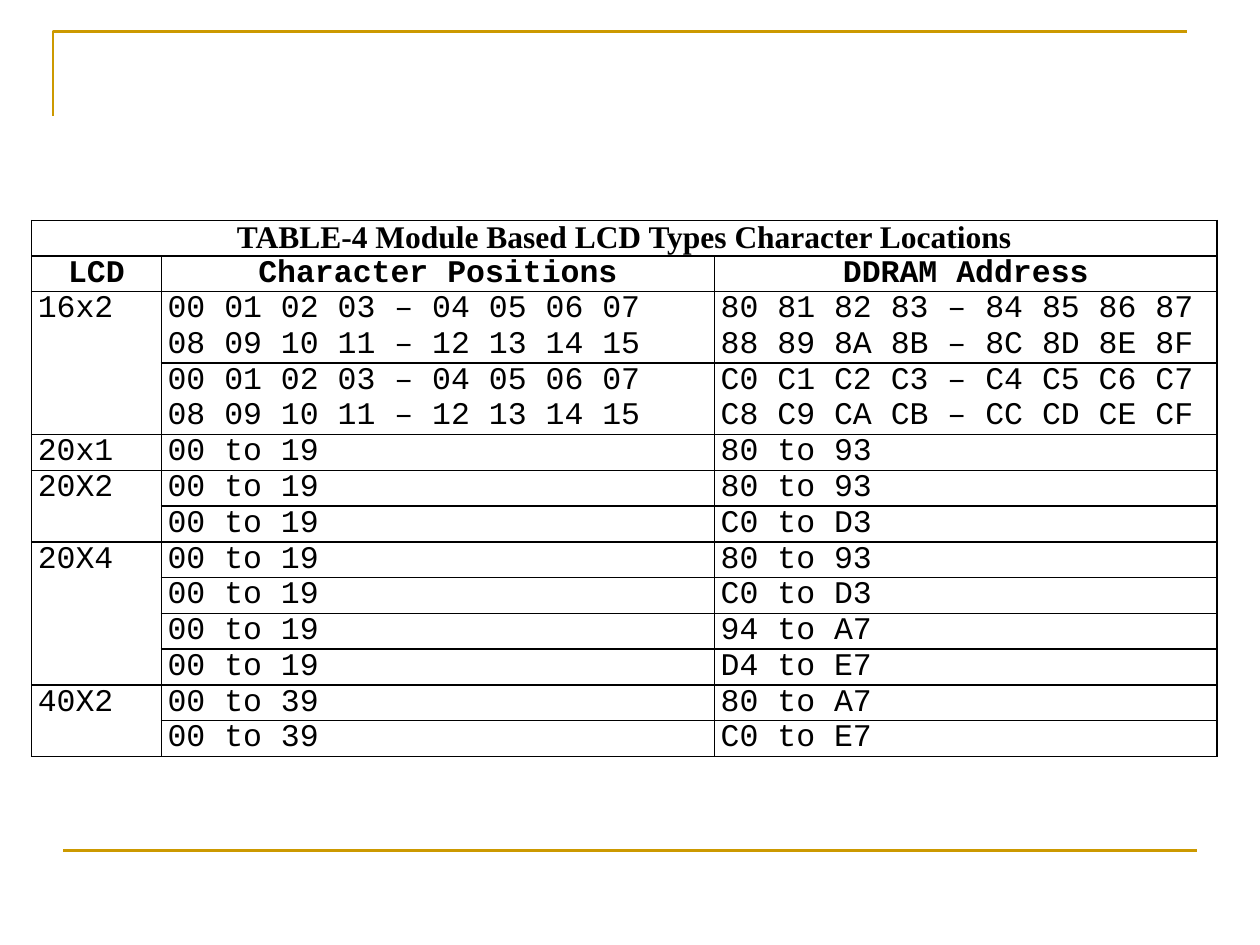
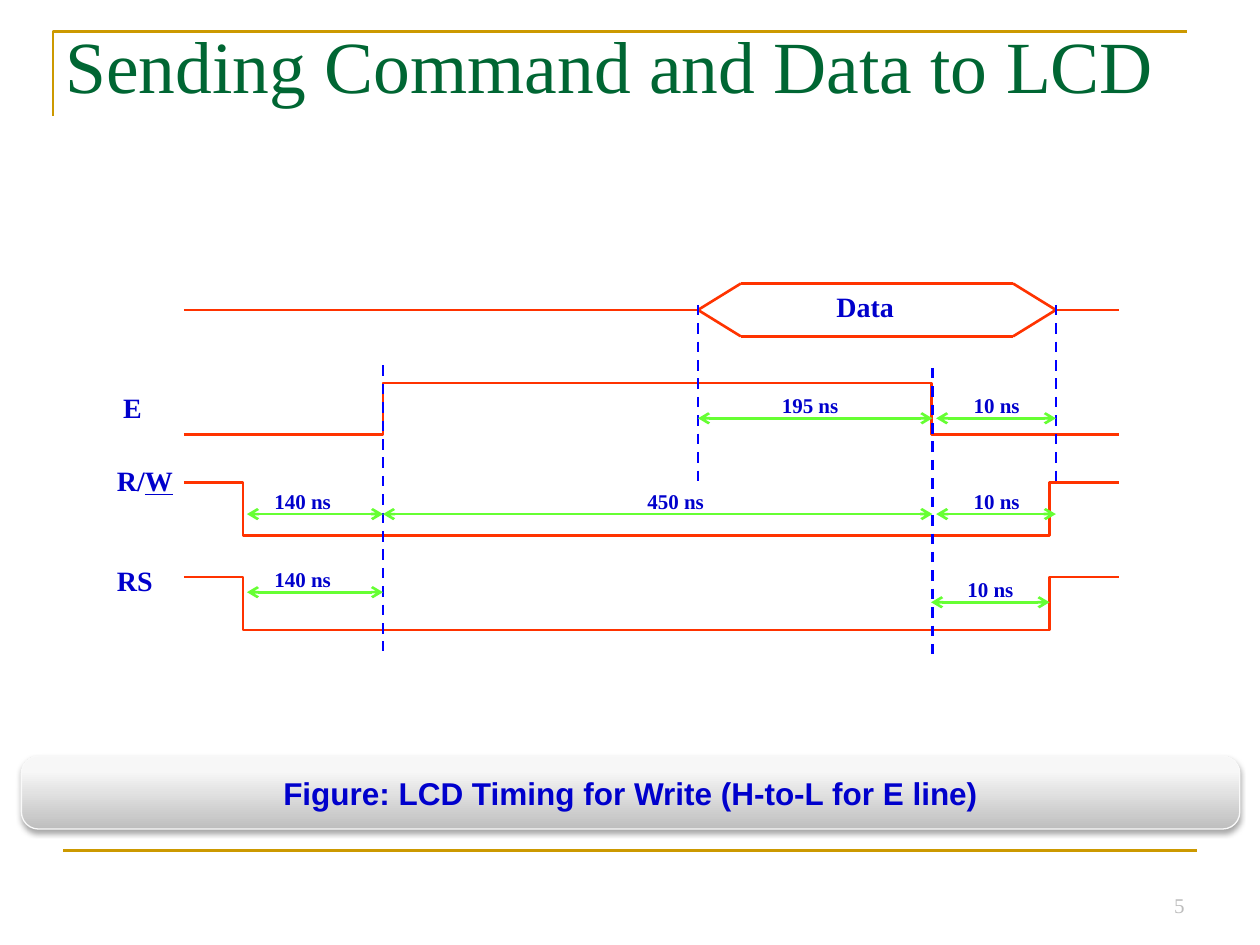
from itertools import pairwise

from lxml import etree
from pptx import Presentation
from pptx.dml.color import RGBColor
from pptx.enum.dml import MSO_LINE
from pptx.enum.shapes import MSO_CONNECTOR, MSO_SHAPE
from pptx.enum.text import MSO_ANCHOR, PP_ALIGN
from pptx.oxml import parse_xml
from pptx.oxml.ns import nsdecls, qn
from pptx.util import Inches, Pt

COLORS = {
    "frame": "CC9900", "title": "006633", "number": "BDBDBD", "paper": "FFFFFF",
    "ink": "000000", "label": "0000CC", "signal": "FF3300", "guide": "0000FF",
    "span": "66FF33", "band_dark": "BEBEBE", "band_light": "F7F7F7", "band_edge": "F9F9F9",
}
SERIF, MONO, SANS = "Times New Roman", "Courier New", "Arial"
TITLE_ONLY, BLANK = 5, 6


def rgb(name):
    return RGBColor.from_string(COLORS[name])


class Deck:
    """Holds the shared style and the slide being built."""

    def __init__(self):
        self.prs = Presentation()
        self.prs.slide_width, self.prs.slide_height = Inches(10), Inches(7.5)
        self.slide = None

    def new_slide(self, title=None):
        layout = self.prs.slide_layouts[TITLE_ONLY if title else BLANK]
        self.slide = self.prs.slides.add_slide(layout)
        # Corner rule at the top, straight rule at the bottom
        builder = self.slide.shapes.build_freeform(Inches(0.42), Inches(0.92))
        builder.add_line_segments(
            [(Inches(0.42), Inches(0.25)), (Inches(9.42), Inches(0.25))], close=False)
        corner = builder.convert_to_shape()
        corner.shadow.inherit = False
        corner.fill.background()
        corner.line.color.rgb, corner.line.width = rgb("frame"), Pt(1.5)
        self.line((0.5, 6.75), (9.5, 6.75), "frame")
        if title:
            self.title(title)

    def title(self, text):
        heading = self.slide.shapes.title
        heading.left, heading.top = Inches(0.42), Inches(0.08)
        heading.width, heading.height = Inches(9.33), Inches(0.83)
        heading.text_frame.text = text
        heading.text_frame.vertical_anchor = MSO_ANCHOR.BOTTOM
        self.style(heading.text_frame.paragraphs[0], SERIF, 42, "title", bold=False)

    def style(self, paragraph, font, size, color, bold=True, align=PP_ALIGN.LEFT):
        paragraph.alignment = align
        paragraph.font.name, paragraph.font.size = font, Pt(size)
        paragraph.font.bold = bold
        paragraph.font.color.rgb = rgb(color)

    def line(self, start, end, color, bend=None, dashed=False, arrows=False):
        kind = MSO_CONNECTOR.STRAIGHT if bend is None else MSO_CONNECTOR.ELBOW
        connector = self.slide.shapes.add_connector(
            kind, *(Inches(value) for value in (*start, *end)))
        connector.line.color.rgb, connector.line.width = rgb(color), Pt(1.5)
        if dashed:
            connector.line.dash_style = MSO_LINE.DASH
        properties = connector._element.spPr
        if bend is not None:
            share = round((bend - start[0]) / (end[0] - start[0]) * 100000)
            guides = properties.find(qn("a:prstGeom")).get_or_add_avLst()
            etree.SubElement(guides, qn("a:gd"), name="adj1", fmla=f"val {share}")
        if arrows:
            for tip in ("a:headEnd", "a:tailEnd"):
                etree.SubElement(properties.find(qn("a:ln")), qn(tip), type="arrow")
        etree.SubElement(properties, qn("a:effectLst"))

    def label(self, box, text, size=16, color="label", bold=True,
              align=PP_ALIGN.LEFT, anchor=MSO_ANCHOR.TOP, underlined=""):
        frame = self.slide.shapes.add_textbox(*(Inches(v) for v in box)).text_frame
        frame.word_wrap = True
        frame.vertical_anchor = anchor
        paragraph = frame.paragraphs[0]
        paragraph.add_run().text = text
        if underlined:
            tail = paragraph.add_run()
            tail.text, tail.font.underline = underlined, True
        self.style(paragraph, SERIF, size, color, bold, align)

    def caption(self, box, text):
        band = self.slide.shapes.add_shape(
            MSO_SHAPE.ROUNDED_RECTANGLE, *(Inches(v) for v in box))
        band.adjustments[0] = 0.235
        band.fill.gradient()
        band.fill.gradient_angle = 90
        stops = (("band_dark", 0), ("band_light", 0.8))
        for stop, (color, position) in zip(band.fill.gradient_stops, stops):
            stop.color.rgb, stop.position = rgb(color), position
        band.line.color.rgb, band.line.width = rgb("band_edge"), Pt(0.75)
        band._element.spPr.append(parse_xml(
            f'<a:effectLst {nsdecls("a")}><a:outerShdw blurRad="{Pt(3.1)}" '
            f'dist="{Pt(1.8)}" dir="5400000" rotWithShape="0">'
            f'<a:srgbClr val="{COLORS["ink"]}"><a:alpha val="35000"/></a:srgbClr>'
            '</a:outerShdw></a:effectLst>'))
        band.text_frame.text = text
        band.text_frame.vertical_anchor = MSO_ANCHOR.MIDDLE
        self.style(band.text_frame.paragraphs[0], SANS, 18, "label", align=PP_ALIGN.CENTER)

    def cell(self, cell, text, font=MONO, header=False):
        cell.margin_left = cell.margin_right = Inches(0.05)
        cell.margin_top = cell.margin_bottom = 0
        cell.fill.solid()
        cell.fill.fore_color.rgb = rgb("paper")
        for index, side in enumerate("LRTB"):
            cell._tc.get_or_add_tcPr().insert(index, parse_xml(
                f'<a:ln{side} {nsdecls("a")} w="{Pt(1)}"><a:solidFill>'
                f'<a:srgbClr val="{COLORS["ink"]}"/></a:solidFill></a:ln{side}>'))
        cell.text = text
        align = PP_ALIGN.CENTER if header else PP_ALIGN.LEFT
        for paragraph in cell.text_frame.paragraphs:
            self.style(paragraph, font, 18, "ink", header, align)

    def table(self, left, top, widths, line_height, heading, columns, groups):
        """Each group is (name, rows); its name spans all of its rows."""
        rows = [(heading, "", ""), columns]
        spans = []
        for name, entries in groups:
            spans.append((len(rows), len(rows) + len(entries) - 1))
            rows += [(name if i == 0 else "", *entry) for i, entry in enumerate(entries)]
        heights = [line_height * (1 + row[1].count("\n")) for row in rows]
        grid = self.slide.shapes.add_table(
            len(rows), len(widths), Inches(left), Inches(top),
            Inches(sum(widths)), Inches(sum(heights))).table
        grid.first_row = grid.horz_banding = False
        for column, width in zip(grid.columns, widths):
            column.width = Inches(width)
        for r, row in enumerate(rows):
            grid.rows[r].height = Inches(heights[r])
            for c, text in enumerate(row):
                self.cell(grid.cell(r, c), text, SERIF if r == 0 else MONO, header=r < 2)
        grid.cell(0, 0).merge(grid.cell(0, len(widths) - 1))
        for first, last in spans:
            if last > first:
                grid.cell(first, 0).merge(grid.cell(last, 0))


def character_locations(deck):
    deck.new_slide()
    positions = "00 01 02 03 – 04 05 06 07\n08 09 10 11 – 12 13 14 15"
    to_19, to_39 = "00 to 19", "00 to 39"
    groups = [
        ("16x2", [(positions, "80 81 82 83 – 84 85 86 87\n88 89 8A 8B – 8C 8D 8E 8F"),
                  (positions, "C0 C1 C2 C3 – C4 C5 C6 C7\nC8 C9 CA CB – CC CD CE CF")]),
        ("20x1", [(to_19, "80 to 93")]),
        ("20X2", [(to_19, "80 to 93"), (to_19, "C0 to D3")]),
        ("20X4", [(to_19, "80 to 93"), (to_19, "C0 to D3"),
                  (to_19, "94 to A7"), (to_19, "D4 to E7")]),
        ("40X2", [(to_39, "80 to A7"), (to_39, "C0 to E7")]),
    ]
    deck.table(0.25, 1.75, (1.03, 4.39, 3.99), 0.28,
               "TABLE-4 Module Based LCD Types Character Locations",
               ("LCD", "Character Positions", "DDRAM Address"), groups)


def write_timing(deck):
    deck.new_slide("Sending Command and Data to LCD")
    deck.label((7.17, 6.83, 2.33, 0.5), "5", 12, "number", bold=False,
               align=PP_ALIGN.RIGHT, anchor=MSO_ANCHOR.BOTTOM)

    # Signals: RS and R/W dip low, E pulses high
    begin, finish, swing = 1.46, 8.88, 0.42
    for high in (4.58, 3.83):
        low = high + swing
        deck.line((begin, high), (2.62, low), "signal", bend=1.93)
        deck.line((2.62, low), (finish, high), "signal", bend=8.33)
    e_rise, e_fall, e_high, e_low = 3.04, 7.39, 3.04, 3.45
    deck.line((begin, e_low), (3.65, e_high), "signal", bend=e_rise)
    deck.line((e_rise, e_high), (finish, e_low), "signal", bend=e_fall)

    # Data bus
    valid, invalid, middle = 5.54, 8.38, 2.46
    hexagon = [(valid, middle), (5.88, 2.25), (8.04, 2.25),
               (invalid, middle), (8.04, 2.67), (5.88, 2.67), (valid, middle)]
    for start, end in pairwise(hexagon):
        deck.line(start, end, "signal")
    deck.line((begin, middle), (valid, middle), "signal")
    deck.line((invalid, middle), (finish, middle), "signal")

    # Guides
    for x, top, bottom in ((e_rise, 2.9, 5.17), (valid, 2.42, 3.83),
                           (invalid, 2.42, 3.83), (7.4, 2.92, 5.19)):
        deck.line((x, top), (x, bottom), "guide", dashed=True)

    # Signal names
    for left, top, name, active_low in ((6.54, 2.25, "Data", ""), (0.88, 3.05, "E", ""),
                                        (0.83, 3.63, "R/", "W"), (0.83, 4.42, "RS", "")):
        deck.label((left, top, 0.96, 0.37), name, underlined=active_low)

    # Time spans: start, end, height, label left, label
    left, center = PP_ALIGN.LEFT, PP_ALIGN.CENTER
    spans = [
        (1.96, e_rise, 4.08, 2.08, "140 ns", left),
        (e_rise, 7.4, 4.08, 5.04, "450 ns", left),
        (7.43, invalid, 4.08, 7.44, "10 ns", center),
        (valid, 7.4, 3.32, 5.96, "195 ns", center),
        (7.43, invalid, 3.32, 7.44, "10 ns", center),
        (7.39, 8.33, 4.78, 7.39, "10 ns", center),
        (1.96, e_rise, 4.7, 2.08, "140 ns", left),
    ]
    for start, end, y, label_left, duration, align in spans:
        deck.line((start, y), (end, y), "span", arrows=True)
        deck.label((label_left, y - 0.25, 0.94, 0.3), duration, 12, align=align)

    deck.caption((0.17, 6, 9.67, 0.58), "Figure: LCD Timing for Write (H-to-L for E line)")


def main():
    deck = Deck()
    character_locations(deck)
    write_timing(deck)
    deck.prs.save("out.pptx")


if __name__ == "__main__":
    main()
